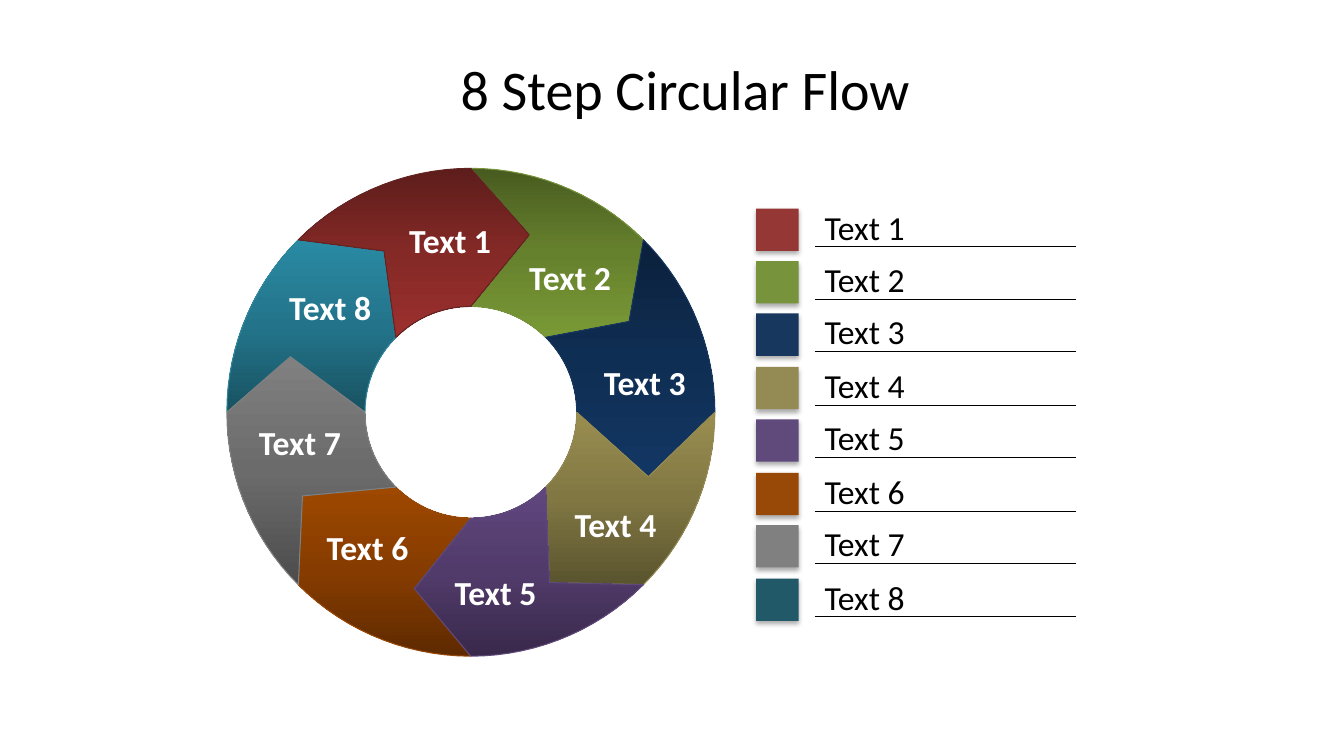
from copy import deepcopy
from math import cos, radians, sin

from lxml import etree
from pptx import Presentation, util as u
from pptx.dml.color import RGBColor
from pptx.enum import shapes, text
from pptx.oxml.ns import qn

PX = 9144
HUES = {"black": "000000", "white": "FFFFFF"}
HUB, OUTER, INNER, STEP = (467, 409), 242, 105, 45
LEFT, TOP, SPAN = 750, 207, 367

# name: swatch, outline, gradient stops, gradient angle, arrow tip, label corner
STEPS = {
    "Text 1": ("953735", "632523", ("5D1D1B", "842926", "9C302E"), 270, (525, 233), (396, 213)),
    "Text 2": ("77933C", "77933C", ("485B20", "66812D", "799936"), 270, (624, 319), (515, 250)),
    "Text 3": ("17375E", "17375E", ("0B203B", "0F2E53", "123663"), 270, (643, 473), (589, 354)),
    "Text 4": ("948A54", "948A54", ("5A542F", "817743", "998D4F"), 90, (545, 578), (560, 495)),
    "Text 5": ("604A7B", "604A7B", ("39294B", "513B6B", "60467E"), 90, (411, 584), (441, 562)),
    "Text 6": ("984807", "984807", ("5E2A00", "863C00", "9E4800"), 90, (300, 492), (314, 518)),
    "Text 7": ("808080", "808080", ("4C4C4C", "6B6B6B", "808080"), 90, (288, 354), (247, 414)),
    "Text 8": ("215968", "31859C", ("185261", "23748A", "298AA3"), 90, (381, 249), (277, 280)),
}
STACK = (1, 7, 0, 5, 2, 3, 6, 4)


def emu(*vals):
    return [round(v * PX) for v in vals]


def tint(hue):
    return RGBColor.from_string(hue)


def arc(rad, start, end):
    """Points on the ring in px; angles run clockwise from the top."""
    way = 3 if end > start else -3
    turns = [radians(a) for a in range(start, end + way, way)]
    return [(HUB[0] + rad * sin(t), HUB[1] - rad * cos(t)) for t in turns]


class Deck:
    def __init__(self):
        self.prs = Presentation()
        self.prs.slide_width, self.prs.slide_height = u.Inches(13.33), u.Inches(7.5)
        self.slide = self.prs.slides.add_slide(self.prs.slide_layouts[5])
        self.items = self.slide.shapes

    def style(self, font, size, hue, bold=False):
        look = {"name": "Calibri", "size": u.Pt(size), "bold": bold}
        for key, val in look.items():
            setattr(font, key, val)
        font.color.rgb = tint(hue)

    def title(self, words, *box):
        head = self.items.title
        for key, val in zip(("left", "top", "width", "height"), emu(*box)):
            setattr(head, key, val)
        frame = head.text_frame
        frame.text = words
        frame.vertical_anchor = text.MSO_ANCHOR.MIDDLE
        para = frame.paragraphs[0]
        para.alignment = text.PP_ALIGN.CENTER
        self.style(para.font, 40, HUES["black"])

    def label(self, words, box, hue, bold=False, wrap=True):
        frame = self.items.add_textbox(*emu(*box)).text_frame
        frame.text = words
        frame.word_wrap = wrap
        frame.auto_size = text.MSO_AUTO_SIZE.SHAPE_TO_FIT_TEXT
        self.style(frame.paragraphs[0].font, 24, hue, bold)

    def wedge(self, pts, stops, angle, edge):
        pen = self.items.build_freeform(*emu(*pts[0]), scale=1.0)
        pen.add_line_segments([emu(*p) for p in pts[1:]], close=True)
        part = pen.convert_to_shape()
        part.shadow.inherit = False
        part.fill.gradient()
        part.fill.gradient_angle = angle
        ramp = part._element.spPr.find(".//" + qn("a:gsLst"))
        ramp.insert(1, deepcopy(ramp[0]))
        for stop, hue, pos in zip(part.fill.gradient_stops, stops, (0, 0.5, 1)):
            stop.color.rgb = tint(hue)
            stop.position = pos
        part.line.color.rgb = tint(edge)
        part.line.width = u.Pt(0.75)

    def swatch(self, hue, *box):
        tile = self.items.add_shape(shapes.MSO_SHAPE.RECTANGLE, *emu(*box))
        tile.fill.solid()
        tile.fill.fore_color.rgb = tint(hue)
        tile.line.fill.background()
        tile.shadow.inherit = False
        fx = tile._element.spPr.find(qn("a:effectLst"))
        shade = etree.SubElement(fx, qn("a:outerShdw"), blurRad=str(u.Pt(3.5)),
                                 dist=str(u.Pt(2.2)), dir="5400000", rotWithShape="0")
        tone = etree.SubElement(shade, qn("a:srgbClr"), val=HUES["black"])
        etree.SubElement(tone, qn("a:alpha"), val="32000")

    def rule(self, *ends):
        line = self.items.add_connector(shapes.MSO_CONNECTOR.STRAIGHT, *emu(*ends))
        line.line.color.rgb = tint(HUES["black"])
        line.line.width = u.Pt(0.75)
        etree.SubElement(line._element.spPr, qn("a:effectLst"))


def main():
    deck = Deck()
    deck.title("8 Step Circular Flow", 267, 25, 825, 125)
    rows = list(STEPS.values())
    for i in STACK:
        _, edge, stops, angle, tip, _ = rows[i]
        start, end = (i - 1) * STEP, i * STEP
        notch = rows[i - 1][4]
        pts = arc(OUTER, start, end) + [tip] + arc(INNER, end, start) + [notch]
        deck.wedge(pts, stops, angle, edge)
    for i, (name, row) in enumerate(STEPS.items()):
        y = TOP + SPAN * i // (len(STEPS) - 1)
        deck.label(name, (*row[5], 102, 50), HUES["white"], bold=True, wrap=False)
        deck.swatch(row[0], LEFT, y, 42, 42)
        deck.rule(LEFT + 58, y + 38, LEFT + 317, y + 38)
        deck.label(name, (LEFT + 58, y - 7, 300, 50), HUES["black"])
    deck.prs.save("out.pptx")


if __name__ == "__main__":
    main()
